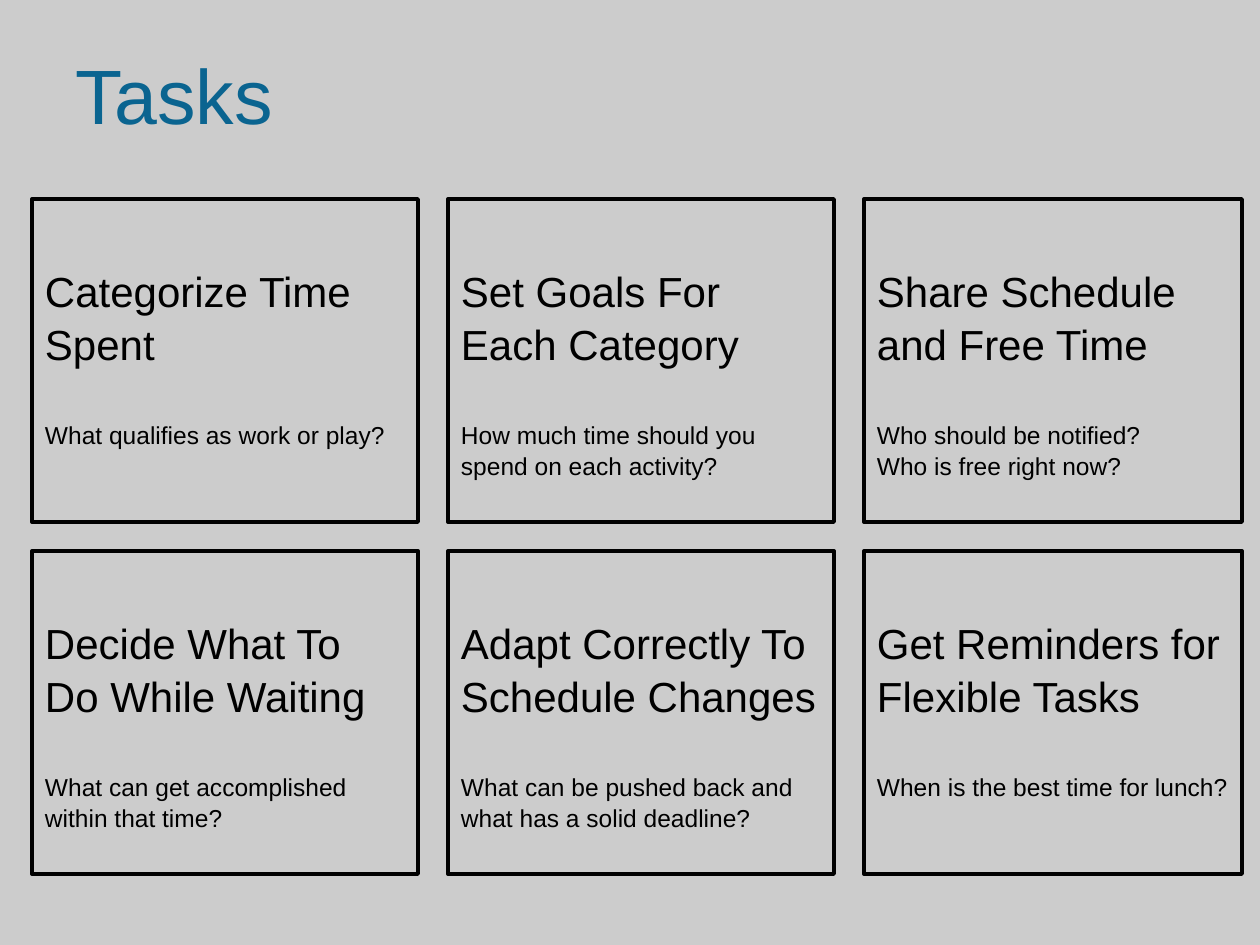
from pptx import Presentation, util as u
from pptx.dml.color import RGBColor
from pptx.enum import shapes, text

TITLE = "Tasks"
TASKS = [
    ("Categorize Time Spent", ["What qualifies as work or play?"]),
    ("Set Goals For Each Category", ["How much time should you spend on each activity?"]),
    ("Share Schedule and Free Time", ["Who should be notified?", "Who is free right now?"]),
    ("Decide What To Do While Waiting", ["What can get accomplished within that time?"]),
    ("Adapt Correctly To Schedule Changes",
     ["What can be pushed back and what has a solid deadline?"]),
    ("Get Reminders for Flexible Tasks", ["When is the best time for lunch?"]),
]

COLUMN_WIDTHS = [386, 386, 378]
LEFT, TOP, CARD_HEIGHT = 32, 199, 323
COLUMN_STEP, ROW_STEP = 416, 352
INSET, HEADING_TOP, QUESTION_GAP = 13, 64, 50
LINE_SPACING = 1.05
BACKGROUND, BLUE, BLACK = "CCCCCC", "0A6490", "000000"


def px(n):
    return u.Emu(n * 914400 // 126)


def color(code):
    return RGBColor.from_string(code)


def write(paragraph, words, size, ink):
    paragraph.alignment = text.PP_ALIGN.LEFT
    run = paragraph.add_run()
    run.text = words
    run.font.name = "Arial"
    run.font.size = u.Pt(size)
    run.font.color.rgb = color(ink)


def set_margins(frame, side, top, bottom):
    frame.word_wrap = True
    frame.margin_left = frame.margin_right = px(side)
    frame.margin_top, frame.margin_bottom = px(top), px(bottom)


def add_title(slide):
    frame = slide.shapes.add_textbox(px(63), px(38), px(1134), px(111)).text_frame
    set_margins(frame, INSET, 6, 6)
    frame.vertical_anchor = text.MSO_ANCHOR.MIDDLE
    write(frame.paragraphs[0], TITLE, 44, BLUE)


def add_card(slide, index, heading, questions):
    row, column = divmod(index, len(COLUMN_WIDTHS))
    card = slide.shapes.add_shape(
        shapes.MSO_SHAPE.RECTANGLE,
        px(LEFT + column * COLUMN_STEP), px(TOP + row * ROW_STEP),
        px(COLUMN_WIDTHS[column]), px(CARD_HEIGHT))
    card.shadow.inherit = False
    card.fill.background()
    card.line.color.rgb = color(BLACK)
    card.line.width = u.Pt(2.25)

    frame = card.text_frame
    set_margins(frame, INSET, HEADING_TOP, INSET)
    frame.vertical_anchor = text.MSO_ANCHOR.TOP
    frame.paragraphs[0].line_spacing = LINE_SPACING
    write(frame.paragraphs[0], heading, 24, BLACK)
    for number, question in enumerate(questions):
        paragraph = frame.add_paragraph()
        paragraph.line_spacing = LINE_SPACING
        paragraph.space_before = px(0 if number else QUESTION_GAP)
        write(paragraph, question, 14, BLACK)


def main():
    deck = Presentation()
    deck.slide_width, deck.slide_height = px(1260), px(945)
    slide = deck.slides.add_slide(deck.slide_layouts[6])
    slide.background.fill.solid()
    slide.background.fill.fore_color.rgb = color(BACKGROUND)
    add_title(slide)
    for index, (heading, questions) in enumerate(TASKS):
        add_card(slide, index, heading, questions)
    deck.save("out.pptx")


if __name__ == "__main__":
    main()
